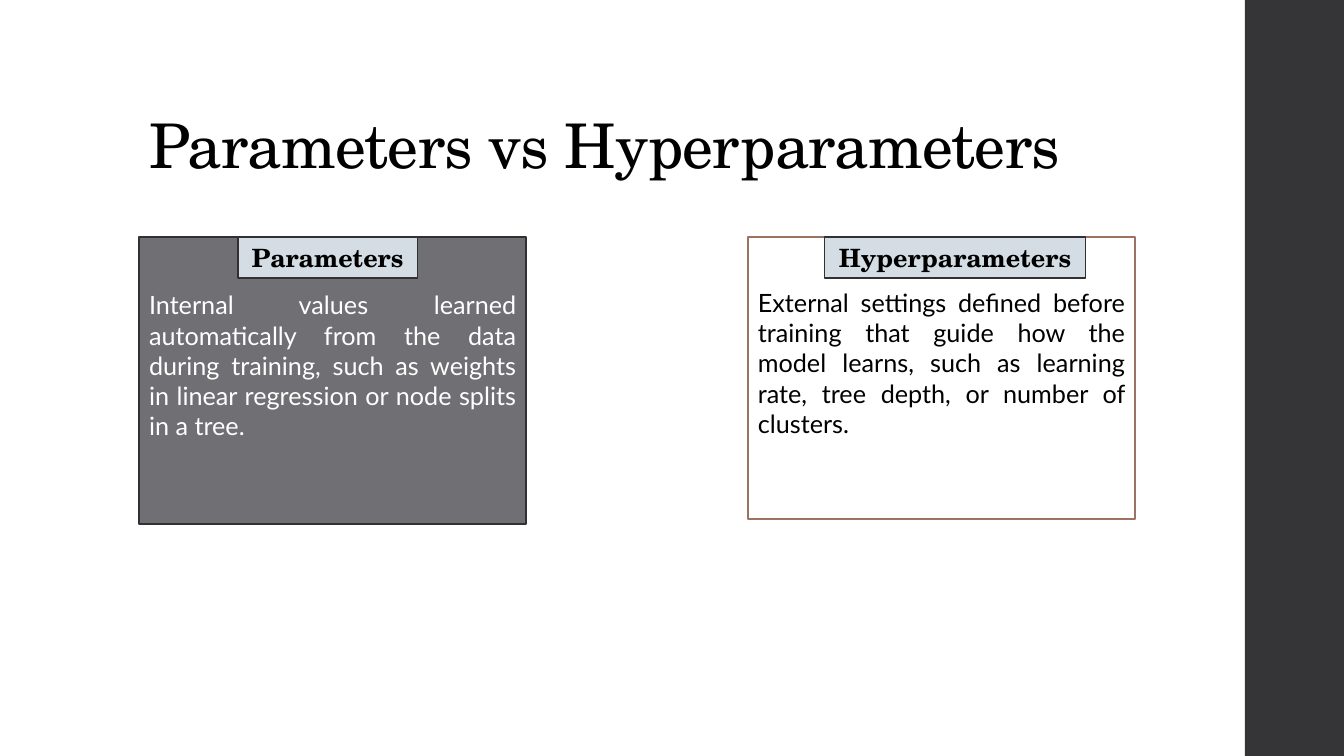
import dataclasses

import pptx
import pptx.dml.color
import pptx.enum.shapes
import pptx.enum.text
import pptx.util

Pt = pptx.util.Pt
Align = pptx.enum.text.PP_ALIGN
Anchor = pptx.enum.text.MSO_ANCHOR


@dataclasses.dataclass(frozen=True)
class Theme:
    dark: str = "353537"
    gray: str = "6F6F74"
    white: str = "FFFFFF"
    black: str = "000000"
    pale_blue: str = "D3DDE3"
    dark_line: str = "313133"
    brown_line: str = "9B7362"
    heading_font: str = "TeX Gyre Schola"
    body_font: str = "Lato"
    title_size: float = 44
    text_size: float = 18
    line_width: float = 1.1


def rgb(code):
    return pptx.dml.color.RGBColor.from_string(code)


def write_text(box, text, *, font, size, color, bold=False, align=Align.LEFT,
               anchor=Anchor.MIDDLE, bottom=3.6, line_spacing=1.0, tracking=0):
    frame = box.text_frame
    frame.word_wrap = True
    frame.vertical_anchor = anchor
    frame.margin_bottom = Pt(bottom)
    para = frame.paragraphs[0]
    para.alignment = align
    para.line_spacing = line_spacing
    span = para.add_run()
    span.text = text
    span.font.name = font
    span.font.size = Pt(size)
    span.font.bold = bold
    span.font.color.rgb = rgb(color)
    if tracking:
        # Letter spacing is stored in hundredths of a point
        span._r.get_or_add_rPr().set("spc", str(round(tracking * 100)))


class SlideBuilder:
    def __init__(self, page, theme):
        self.page = page
        self.theme = theme

    def rectangle(self, left, top, width, height, fill, line=None):
        box = self.page.shapes.add_shape(
            pptx.enum.shapes.MSO_SHAPE.RECTANGLE,
            Pt(left), Pt(top), Pt(width), Pt(height))
        box.shadow.inherit = False
        box.fill.solid()
        box.fill.fore_color.rgb = rgb(fill)
        if line:
            box.line.color.rgb = rgb(line)
            box.line.width = Pt(self.theme.line_width)
        else:
            box.line.fill.background()
        return box

    def title(self, text, left, top, width, height):
        box = self.page.shapes.add_textbox(Pt(left), Pt(top), Pt(width), Pt(height))
        write_text(box, text, font=self.theme.heading_font,
                   size=self.theme.title_size, color=self.theme.black,
                   anchor=Anchor.BOTTOM, line_spacing=0.9, tracking=-0.5)

    def card(self, text, left, top, width, height, fill, line, color):
        box = self.rectangle(left, top, width, height, fill, line)
        # The deep bottom inset lifts the text half a line above the middle
        write_text(box, text, font=self.theme.body_font,
                   size=self.theme.text_size, color=color,
                   align=Align.JUSTIFY, bottom=25.2)

    def label(self, text, left, top, width, height):
        box = self.rectangle(left, top, width, height,
                             self.theme.pale_blue, self.theme.dark_line)
        write_text(box, text, font=self.theme.heading_font,
                   size=self.theme.text_size, color=self.theme.black,
                   bold=True, align=Align.CENTER)


def main():
    deck = pptx.Presentation()
    deck.slide_width, deck.slide_height = Pt(960), Pt(540)
    theme = Theme()
    builder = SlideBuilder(deck.slides.add_slide(deck.slide_layouts[6]), theme)

    # Side band and title
    builder.rectangle(889.2, 0, 70.8, 540, theme.dark)
    builder.title("Parameters vs Hyperparameters", 99.4, 28.8, 763.2, 104.4)

    # Definition cards
    card_top, card_width = 169.2, 276.5
    builder.card(
        "Internal values learned automatically from the data during training, "
        "such as weights in linear regression or node splits in a tree.",
        99.4, card_top, card_width, 205.2,
        theme.gray, theme.dark_line, theme.white)
    builder.card(
        "External settings defined before training that guide how the model "
        "learns, such as learning rate, tree depth, or number of clusters.",
        534.3, card_top, card_width, 201.6,
        theme.white, theme.brown_line, theme.black)

    # Labels on the top edge of the cards
    for text, left, width in (("Parameters", 169.9, 128.2),
                              ("Hyperparameters", 589, 186.5)):
        builder.label(text, left, card_top, width, 29.5)

    deck.save("out.pptx")


if __name__ == "__main__":
    main()
